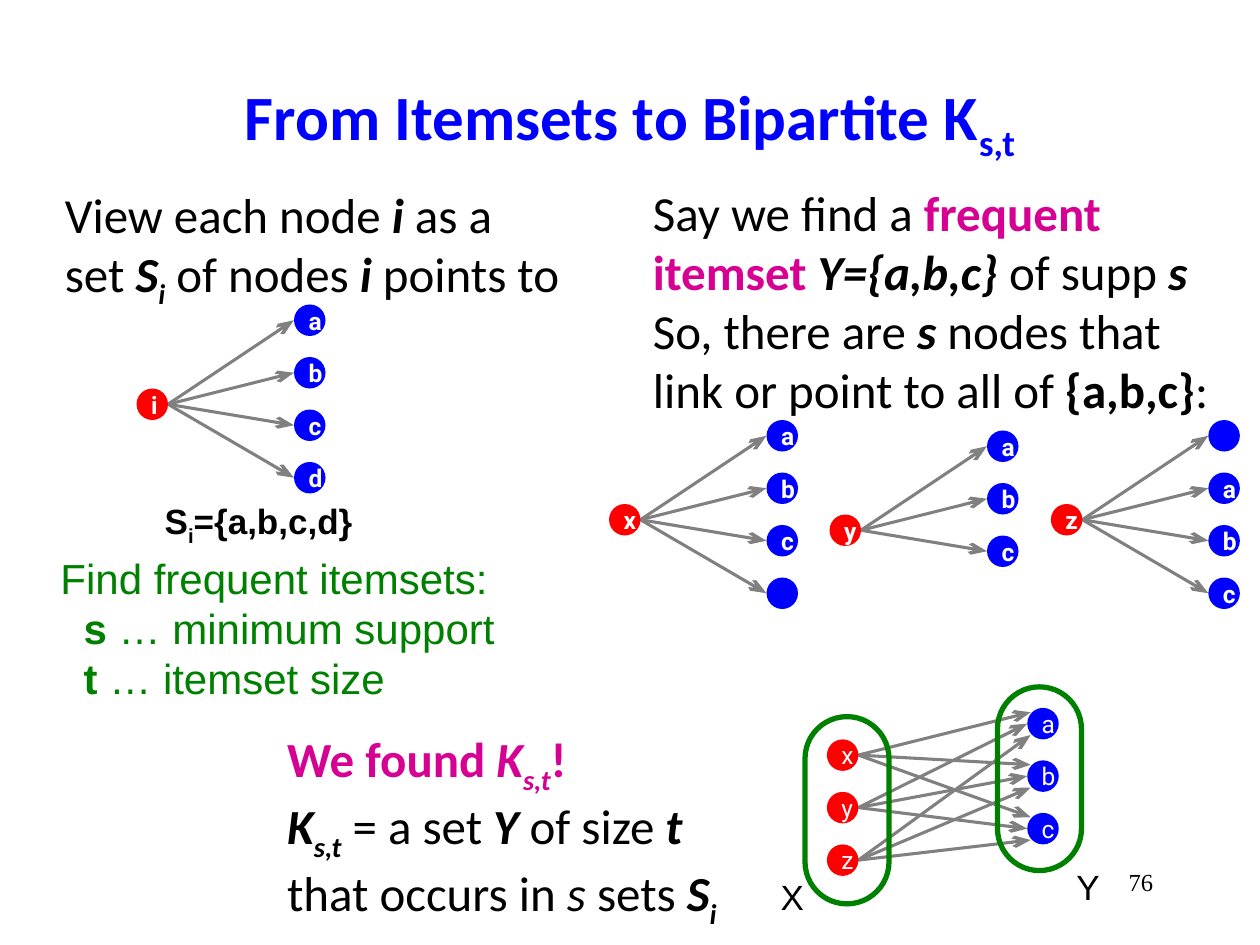
from pptx import Presentation
from pptx.dml.color import RGBColor
from pptx.enum.shapes import MSO_CONNECTOR, MSO_SHAPE
from pptx.enum.text import MSO_ANCHOR, PP_ALIGN
from pptx.oxml.ns import qn
from pptx.util import Pt
from lxml.etree import SubElement

HUES = {"red": "FF0000", "blue": "0000FF", "gray": "808080", "green": "008000",
        "pink": "D60093", "black": "000000", "white": "FFFFFF"}
NODE, STEP = 18, 30

TITLE = [("From Itemsets to Bipartite K", "b"), ("s,t", "b_")]
VIEW = [[[("View each node ", ""), ("i", "bi"), (" as a", "")],
         [("set ", ""), ("S", "bi"), ("i", "bi_"), (" of nodes ", ""),
          ("i", "bi"), (" points to", "")]]]
SAY = [[[("Say we find a ", ""), ("frequent itemset ", "bp"),
         ("Y={a,b,c}", "bi"), (" of supp ", ""), ("s", "bi")],
        [("So, there are ", ""), ("s", "bi"),
         (" nodes that link or point to all of ", ""),
         ("{a,b,c}", "b"), (":", "")]]]
FOUND = [[[("We found ", "bp"), ("K", "bip"), ("s,t", "bip_"), ("!", "bp")]],
         [[("K", "bi"), ("s,t", "bi_"), (" = a set ", ""), ("Y", "bi"),
           (" of size ", ""), ("t", "bi")],
          [("that occurs in ", ""), ("s", "i"), (" sets ", ""),
           ("S", "bi"), ("i", "bi_")]]]
FIND = [[[("Find frequent itemsets:", "")]],
        [[("s", "b"), (" … minimum support", "")]],
        [[("t", "b"), (" … itemset size", "")]]]
SET = [[[("S", "b"), ("i", "b_"), ("={a,b,c,d}", "b")]]]

BOXES = [
    (VIEW, (30, 102, 300, 75), "Calibri", 28, "black", False),
    (SAY, (366, 101, 343, 143), "Calibri", 28, "black", True),
    (FOUND, (157, 413, 263, 109), "Calibri", 28, "black", False),
    (FIND, (27.5, 312, 263.5, 94), "Arial", 24, "green", False),
    (SET, (87, 282, 123, 31.5), "Arial", 20, "black", False),
    ([[[("X", "")]]], (439, 497, 28, 31.5), "Arial", 20, "black", False),
    ([[[("Y", "")]]], (608, 491, 28, 31.5), "Arial", 20, "black", False),
    ([[[("76", "")]]], (516, 492, 150, 36), "Times New Roman", 14, "black", True),
]
FANS = [("i", 78, 174, ["a", "b", "c", "d"]),
        ("x", 348, 240, ["a", "b", "c", ""]),
        ("y", 474, 246, ["a", "b", "c"]),
        ("z", 600.5, 240, ["", "a", "b", "c"])]
RINGS = [(460, 409.5, 48, 107), (570, 392.5, 48, 105)]


def color(name):
    return RGBColor.from_string(HUES[name])


def write(para, text, marks, face, size, hue):
    run = para.add_run()
    run.text = text
    look = {"name": face, "size": Pt(size), "bold": "b" in marks,
            "italic": "i" in marks}
    for key, val in look.items():
        setattr(run.font, key, val)
    run.font.color.rgb = color("pink" if "p" in marks else hue)
    if "_" in marks:
        run.font._element.set("baseline", "-25000")


def box(shapes, paras, area, face, size, hue, wrap):
    frame = shapes.add_textbox(*map(Pt, area)).text_frame
    frame.word_wrap = wrap
    for num, lines in enumerate(paras):
        para = frame.add_paragraph() if num else frame.paragraphs[0]
        if paras is FIND and num:
            para._p.get_or_add_pPr().set("marL", str(Pt(13.3)))
        if lines[0][0][0] == "76":
            para.alignment = PP_ALIGN.RIGHT
        for row, runs in enumerate(lines):
            if row:
                para.add_line_break()
            for text, marks in runs:
                write(para, text, marks, face, size, hue)


def arrow(shapes, start, end):
    link = shapes.add_connector(MSO_CONNECTOR.STRAIGHT, *map(Pt, start + end))
    link.line.color.rgb = color("gray")
    link.line.width = Pt(1.75)
    SubElement(link.line._get_or_add_ln(), qn("a:tailEnd"),
               type="arrow", w="med", len="lg")
    SubElement(link._element.spPr, qn("a:effectLst"))


def node(shapes, left, top, label, hue, marks):
    dot = shapes.add_shape(MSO_SHAPE.OVAL, *map(Pt, (left, top, NODE, NODE)))
    dot.shadow.inherit = False
    dot.fill.solid()
    dot.fill.fore_color.rgb = color(hue)
    dot.line.fill.background()
    if label:
        frame = dot.text_frame
        frame.vertical_anchor = MSO_ANCHOR.MIDDLE
        para = frame.paragraphs[0]
        para.alignment = PP_ALIGN.CENTER
        write(para, label, marks, "Roboto", 14, "white")


def fan(shapes, root, left, top, leaves):
    base, right = top + 48, left + 90
    tops = [top + STEP * num for num in range(len(leaves))]
    for leaf in tops:
        arrow(shapes, (left + NODE, base + NODE / 2), (right, leaf + NODE / 2))
    node(shapes, left, base, root, "red", "b")
    for leaf, label in zip(tops, leaves):
        node(shapes, right, leaf, label, "blue", "b")


def graph(shapes):
    for row, end in enumerate((589, 587, 589)):
        for col in range(3):
            arrow(shapes, (490.5, 431.5 + STEP * row),
                  (end, 407 + 6.5 * row + STEP * col))
    for left, top, hue, names in ((472.5, 422.5, "red", "xyz"),
                                  (587, 404.5, "blue", "abc")):
        for num, name in enumerate(names):
            node(shapes, left, top + STEP * num, name, hue, "")


def ring(shapes, area):
    loop = shapes.add_shape(MSO_SHAPE.ROUNDED_RECTANGLE, *map(Pt, area))
    loop.adjustments[0] = 0.5
    loop.shadow.inherit = False
    loop.fill.background()
    loop.line.color.rgb = color("green")
    loop.line.width = Pt(3)


def main():
    deck = Presentation()
    deck.slide_width, deck.slide_height = Pt(720), Pt(540)
    slide = deck.slides.add_slide(deck.slide_layouts[5])
    shapes = slide.shapes
    head = shapes.title
    area = {"left": 54, "top": 24, "width": 612, "height": 90}
    for key, val in area.items():
        setattr(head, key, Pt(val))
    head.text_frame.vertical_anchor = MSO_ANCHOR.MIDDLE
    para = head.text_frame.paragraphs[0]
    para.alignment = PP_ALIGN.CENTER
    for text, marks in TITLE:
        write(para, text, marks, "Calibri", 36, "blue")
    for item in FANS:
        fan(shapes.add_group_shape().shapes, *item)
    graph(shapes.add_group_shape().shapes)
    for area in RINGS:
        ring(shapes, area)
    for item in BOXES:
        box(shapes, *item)
    deck.save("out.pptx")


if __name__ == "__main__":
    main()
